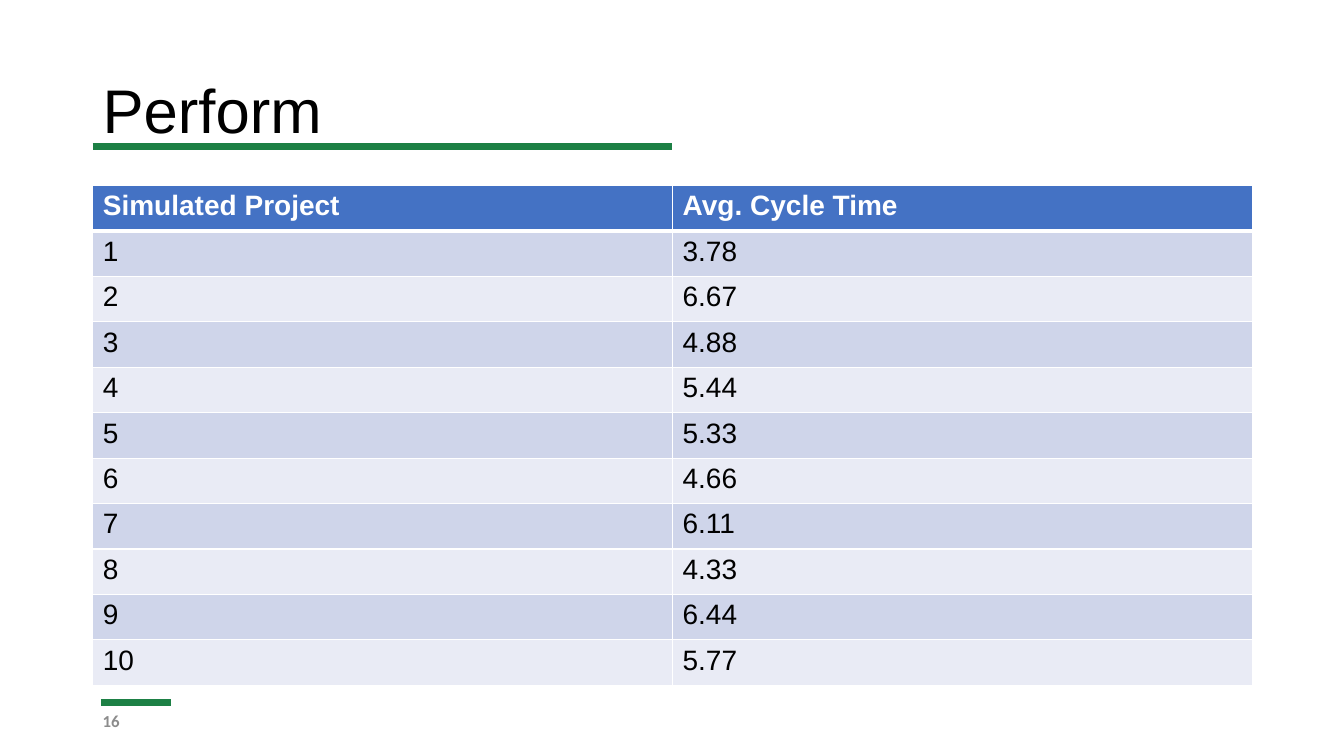
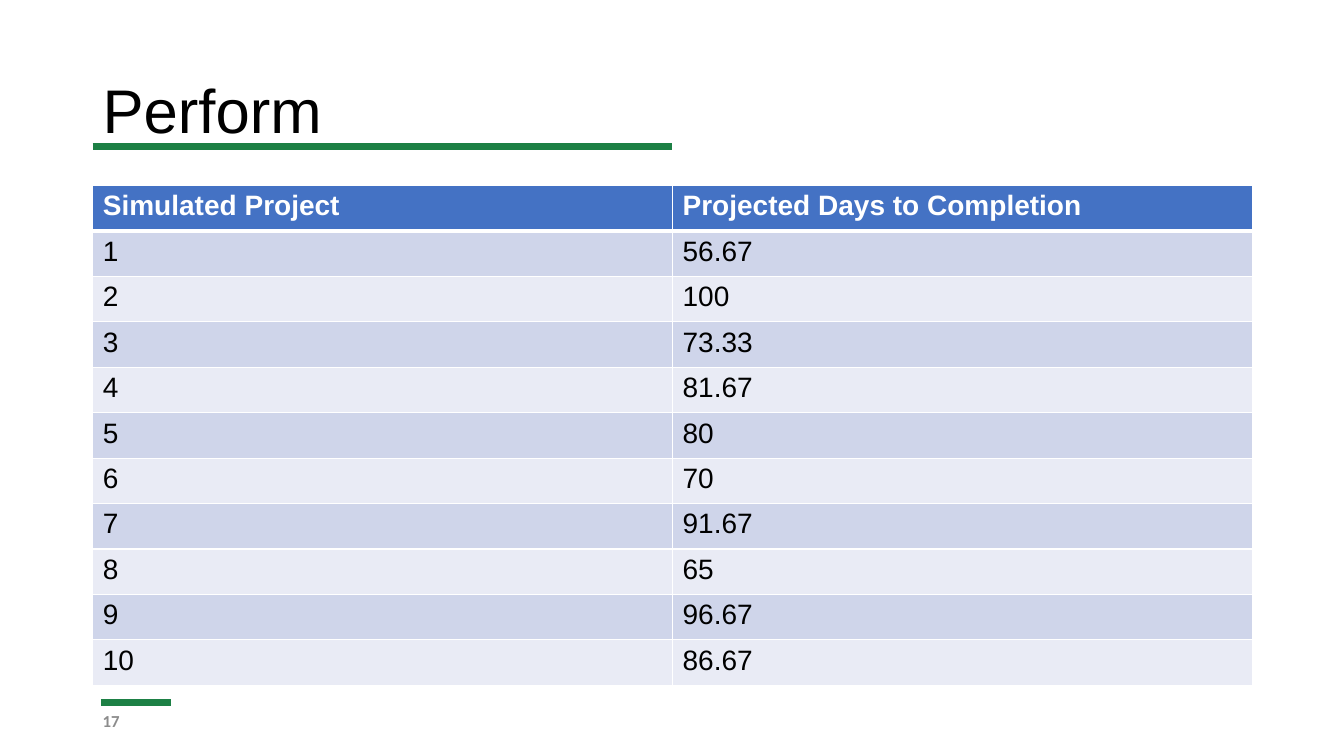
from lxml import etree
from pptx import Presentation
from pptx.dml.color import RGBColor
from pptx.enum.shapes import MSO_CONNECTOR
from pptx.enum.text import MSO_ANCHOR
from pptx.oxml.ns import qn
from pptx.util import Inches, Pt

STRAIGHT = MSO_CONNECTOR.STRAIGHT
MIDDLE = MSO_ANCHOR.MIDDLE

COLORS = {
    "accent": "1D8045",
    "number": "8C8C8C",
    "text": "000000",
    "white": "FFFFFF",
    "header": "4472C4",
    "odd_row": "CFD5EA",
    "even_row": "E9EBF5",
}

LEFT = 0.92
CONTENT_WIDTH = 11.5
FIRST_SLIDE_NUMBER = 16

RESULTS = [
    ("Avg. Cycle Time",
     ["3.78", "6.67", "4.88", "5.44", "5.33", "4.66", "6.11", "4.33", "6.44", "5.77"]),
    ("Projected Days to Completion",
     ["56.67", "100", "73.33", "81.67", "80", "70", "91.67", "65", "96.67", "86.67"]),
]


def rgb(name):
    return RGBColor.from_string(COLORS[name])


def write_text(frame, text, size=20, font="Arial", color="text", bold=False, spacing=None):
    paragraph = frame.paragraphs[0]
    paragraph.line_spacing = spacing
    run = paragraph.add_run()
    run.text = text
    run.font.size = Pt(size)
    run.font.name = font
    run.font.bold = bold
    run.font.color.rgb = rgb(color)


def add_label(slide, text, top, width, height, **text_format):
    label = slide.shapes.add_textbox(Inches(LEFT), Inches(top), Inches(width), Inches(height))
    label.text_frame.word_wrap = True
    label.text_frame.vertical_anchor = MIDDLE
    write_text(label.text_frame, text, **text_format)


def add_rule(slide, left, right, y):
    rule = slide.shapes.add_connector(STRAIGHT, Inches(left), Inches(y), Inches(right), Inches(y))
    rule.line.color.rgb = rgb("accent")
    rule.line.width = Pt(5)
    etree.SubElement(rule.element.spPr, qn("a:effectLst"))


def set_borders(cell, top=1, bottom=1):
    properties = cell._tc.get_or_add_tcPr()
    for side, width in (("L", 1), ("R", 1), ("T", top), ("B", bottom)):
        border = etree.SubElement(properties, qn(f"a:ln{side}"), w=str(Pt(width)))
        fill = etree.SubElement(border, qn("a:solidFill"))
        etree.SubElement(fill, qn("a:srgbClr"), val=COLORS["white"])


def format_cell(cell, row):
    if row == 0:
        set_borders(cell, bottom=3)
        fill = "header"
    else:
        set_borders(cell, top=3 if row == 1 else 1)
        fill = "odd_row" if row % 2 else "even_row"
    cell.fill.solid()
    cell.fill.fore_color.rgb = rgb(fill)


def add_results_table(slide, measure, values):
    rows = [("Simulated Project", measure)]
    rows += [(str(project), value) for project, value in enumerate(values, 1)]
    table = slide.shapes.add_table(
        len(rows), 2, Inches(LEFT), Inches(1.84), Inches(CONTENT_WIDTH), Inches(4.96)
    ).table
    for row, texts in enumerate(rows):
        is_header = row == 0
        for column, text in enumerate(texts):
            cell = table.cell(row, column)
            format_cell(cell, row)
            write_text(cell.text_frame, text, bold=is_header,
                       color="white" if is_header else "text")


def add_frame(slide, title, number):
    add_rule(slide, 1, 1.7, 6.97)
    add_rule(slide, LEFT, LEFT + CONTENT_WIDTH / 2, 1.45)
    add_label(slide, str(number), 6.95, 3, 0.4,
              size=12, font="Calibri", color="number", bold=True)
    add_label(slide, title, 0.4, CONTENT_WIDTH, 1.45, size=44, spacing=0.9)


def main():
    presentation = Presentation()
    presentation.slide_width = Inches(13.33)
    presentation.slide_height = Inches(7.5)
    blank_layout = presentation.slide_layouts[6]
    for number, (measure, values) in enumerate(RESULTS, FIRST_SLIDE_NUMBER):
        slide = presentation.slides.add_slide(blank_layout)
        add_frame(slide, "Perform", number)
        add_results_table(slide, measure, values)
    presentation.save("out.pptx")


if __name__ == "__main__":
    main()
